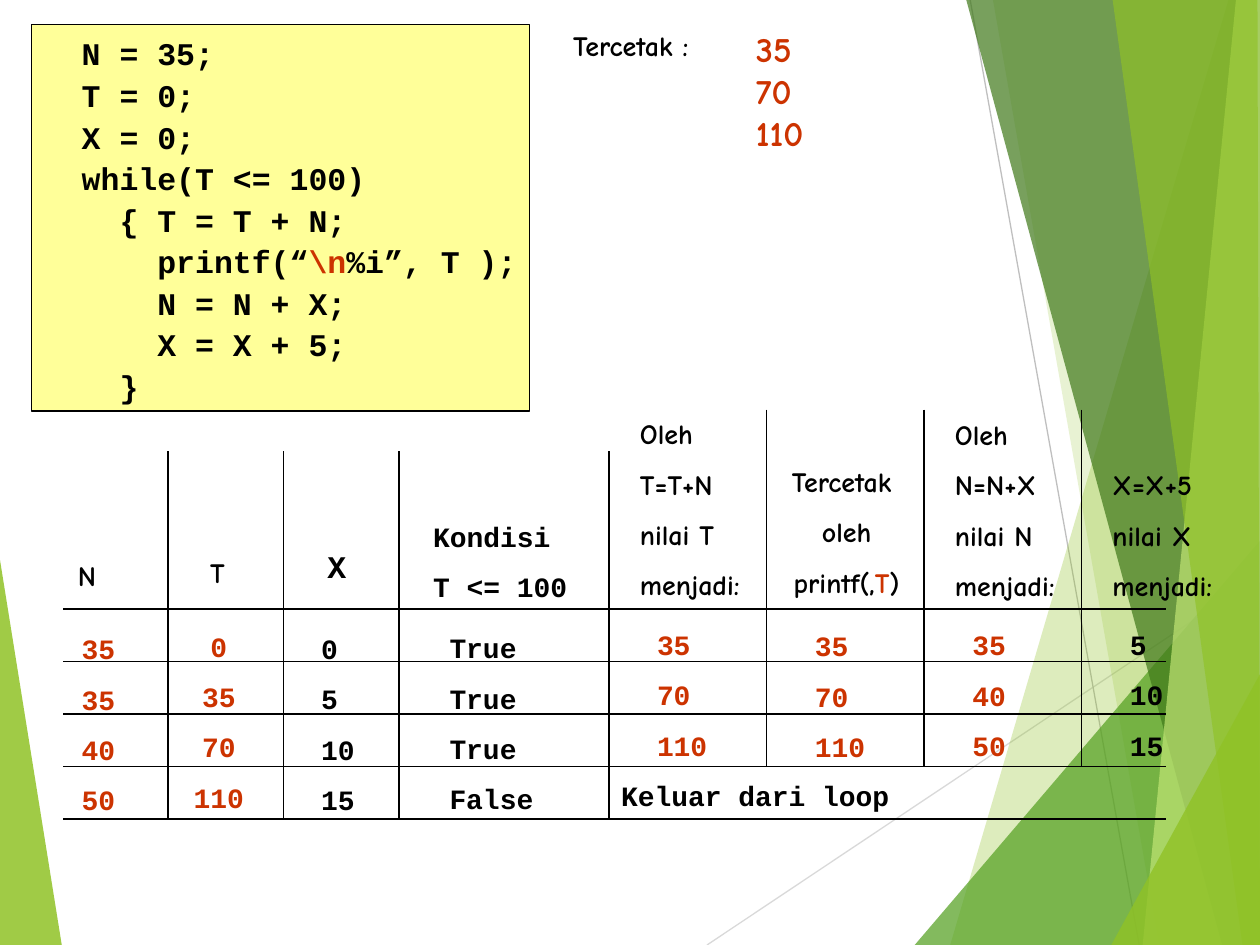
"""Build a slide that traces a while loop beside its code and output."""
from lxml import etree
from pptx import Presentation
from pptx.dml.color import RGBColor
from pptx.enum.shapes import MSO_CONNECTOR, MSO_SHAPE
from pptx.enum.text import MSO_ANCHOR, MSO_AUTO_SIZE, PP_ALIGN
from pptx.oxml.ns import qn
from pptx.util import Pt

STRAIGHT, RECTANGLE = MSO_CONNECTOR.STRAIGHT, MSO_SHAPE.RECTANGLE
TOP, FIT = MSO_ANCHOR.TOP, MSO_AUTO_SIZE.SHAPE_TO_FIT_TEXT
LEFT, CENTER = PP_ALIGN.LEFT, PP_ALIGN.CENTER

BLACK = RGBColor(0x00, 0x00, 0x00)
RED = RGBColor(0xCC, 0x33, 0x00)
YELLOW = RGBColor(0xFF, 0xFF, 0x99)
LIME = RGBColor(0x90, 0xC2, 0x26)
GREEN = RGBColor(0x54, 0xA0, 0x21)
FOREST = RGBColor(0x3F, 0x78, 0x19)
PALE_LIME = RGBColor(0xC0, 0xE4, 0x74)
SILVER = RGBColor(0xD9, 0xD9, 0xD9)
GRAY = RGBColor(0xBF, 0xBF, 0xBF)

COMIC, COURIER = "Comic Neue", "Courier New"
WIDTH, HEIGHT = 720, 540
CODE_CHARACTER = 10.8

LEFT_FACET = (LIME, 85, [(0, 320), (35.3, 540), (0, 540)])
RIGHT_FACETS = [
    (LIME, 30, [(702, 0), (543, 540), (720, 540), (720, 0)]),
    (LIME, 20, [(567.4, 0), (662.4, 540), (720, 540), (720, 0)]),
    (GREEN, 72, [(522.7, 540), (720, 309), (720, 540)]),
    (FOREST, 70, [(552.2, 0), (698.4, 540), (720, 540), (720, 0)]),
    (PALE_LIME, 70, [(706.3, 0), (653, 540), (720, 540), (720, 0)]),
    (LIME, 65, [(635.8, 0), (710, 540), (720, 540), (718.6, 0)]),
    (LIME, 80, [(635, 540), (720, 385.2), (720, 540)]),
]
CODE = [
    (2, ["N = 35;"]),
    (2, ["T = 0;"]),
    (2, ["X = 0;"]),
    (2, ["while(T <= 100)"]),
    (4, ["{ T = T + N;"]),
    (6, ["printf(“", "\\n", "%i”, T );"]),
    (6, ["N = N + X;"]),
    (6, ["X = X + 5;"]),
    (4, ["}"]),
]
HEADINGS = [
    ((37.4, 315.4, 24.5, 26.6), ["N"], {"spacing": 1.0}),
    ((113, 314, 22.3, 26.6), ["T"], {"spacing": 1.0, "align": CENTER}),
    ((180, 298, 26, 38), ["X"], {"font": COURIER, "size": 18}),
    ((240.5, 283.7, 94, 64.8), ["Kondisi", "T <= 100"], {"font": COURIER}),
    ((358.6, 225, 71.3, 122.4), ["Oleh", "T=T+N", "nilai T", "menjadi:"], {}),
    ((444.2, 252.3, 79.2, 93.6), ["Tercetak ", "oleh", ["printf(,", "T", ")"]],
     {"align": CENTER}),
    ((538.6, 225.4, 71.3, 122.4), ["Oleh", "N=N+X", "nilai N", "menjadi:"], {}),
    ((628.6, 254.2, 71.3, 93.6), ["X=X+5", "nilai X", "menjadi:"], {}),
]
COLUMNS = [
    ((39.6, 348, 36, 122.4), ["35", "35", "40", "50"], {"color": RED}),
    ((103.5, 346.5, 43.2, 122.4), ["0", "35", "70", "110"],
     {"color": RED, "align": CENTER}),
    ((176.4, 347.8, 36, 122.4), ["0", "5", "10", "15"], {}),
    ((249.8, 347.4, 65, 122.4), ["True", "True", "True", "False"], {}),
    ((368.4, 345.4, 43.2, 93.6), ["35", "70", "110"], {"color": RED}),
    ((458.6, 346.3, 43.2, 93.6), ["35", "70", "110"], {"color": RED}),
    ((548.6, 345.6, 36, 93.6), ["35", "40", "50"], {"color": RED}),
    ((638.6, 345.4, 36, 93.6), ["5", "10", "15"], {}),
    ((347.8, 432, 170, 36), ["Keluar dari loop"], {}),
]


def set_values(target, values):
    """Set each named attribute on the target."""
    for name, value in values.items():
        setattr(target, name, value)


def add_facet(page, color, opacity, points):
    """Draw a translucent polygon."""
    corners = [(Pt(x), Pt(y)) for x, y in points]
    builder = page.shapes.build_freeform(*corners[0], scale=1.0)
    builder.add_line_segments(corners[1:], close=True)
    facet = builder.convert_to_shape()
    facet.shadow.inherit = False
    facet.line.fill.background()
    facet.fill.solid()
    facet.fill.fore_color.rgb = color
    tint = facet.fill._xPr.find(".//" + qn("a:srgbClr"))
    etree.SubElement(tint, qn("a:alpha"), val=str(opacity * 1000))


def add_rule(page, start, end, color=BLACK):
    """Draw a thin straight line."""
    points = [Pt(value) for value in (*start, *end)]
    rule = page.shapes.add_connector(STRAIGHT, *points)
    rule.line.width = Pt(0.74)
    rule.line.color.rgb = color
    etree.SubElement(rule._element.spPr, qn("a:effectLst"))


def write_lines(shape, lines, font=COMIC, size=16, color=BLACK, align=LEFT,
                spacing=1.5, indents=()):
    """Write bold paragraphs, with every second span in red."""
    frame = shape.text_frame
    set_values(frame, {"word_wrap": False, "auto_size": FIT,
                       "vertical_anchor": TOP})
    for index, line in enumerate(lines):
        para = frame.add_paragraph() if index else frame.paragraphs[0]
        set_values(para, {"alignment": align, "line_spacing": spacing})
        if indents:
            para._p.get_or_add_pPr().set("marL", str(Pt(indents[index])))
        spans = [line] if isinstance(line, str) else line
        for position, text in enumerate(spans):
            span = para.add_run()
            span.text = text
            set_values(span.font, {"name": font, "size": Pt(size), "bold": True})
            span.font.color.rgb = RED if position % 2 else color


def add_text(page, area, lines, **style):
    """Add a text box with the given lines."""
    box = page.shapes.add_textbox(*map(Pt, area))
    write_lines(box, lines, **style)


def add_code(page):
    """Add the yellow code panel."""
    panel = page.shapes.add_shape(RECTANGLE, Pt(18), Pt(14), Pt(284.4), Pt(221))
    panel.shadow.inherit = False
    panel.fill.solid()
    panel.fill.fore_color.rgb = YELLOW
    panel.line.color.rgb = BLACK
    panel.line.width = Pt(0.74)
    write_lines(panel, [spans for _, spans in CODE], font=COURIER, size=18,
                spacing=1.1,
                indents=[depth * CODE_CHARACTER for depth, _ in CODE])


def add_background(page):
    """Add the green facets and the two thin lines behind them."""
    add_facet(page, *LEFT_FACET)
    add_rule(page, (404, HEIGHT), (WIDTH, 329), SILVER)
    add_rule(page, (554.4, 0), (651, HEIGHT), GRAY)
    for facet in RIGHT_FACETS:
        add_facet(page, *facet)


def add_trace(page):
    """Add the grid, headings and values of the loop trace."""
    for row in range(5):
        y = 348 + 30 * row
        add_rule(page, (36, y), (666, y))
    for x in (96, 162, 228, 348):
        add_rule(page, (x, 258), (x, 468))
    for x in (438, 528, 618):
        add_rule(page, (x, 234), (x, 438))
    for area, lines, style in HEADINGS:
        add_text(page, area, lines, **style)
    for area, lines, style in COLUMNS:
        add_text(page, area, lines, font=COURIER, **style)


def main():
    """Build and save the deck."""
    deck = Presentation()
    set_values(deck, {"slide_width": Pt(WIDTH), "slide_height": Pt(HEIGHT)})
    page = deck.slides.add_slide(deck.slide_layouts[6])
    add_background(page)
    add_trace(page)
    add_text(page, (320.4, 12.5, 82, 26.6), ["Tercetak :"], spacing=1.0)
    add_text(page, (424.8, 12.2, 41.8, 79.2), ["35", "70", "110"],
             size=20, color=RED, spacing=1.0)
    add_code(page)
    deck.save("out.pptx")


main()
